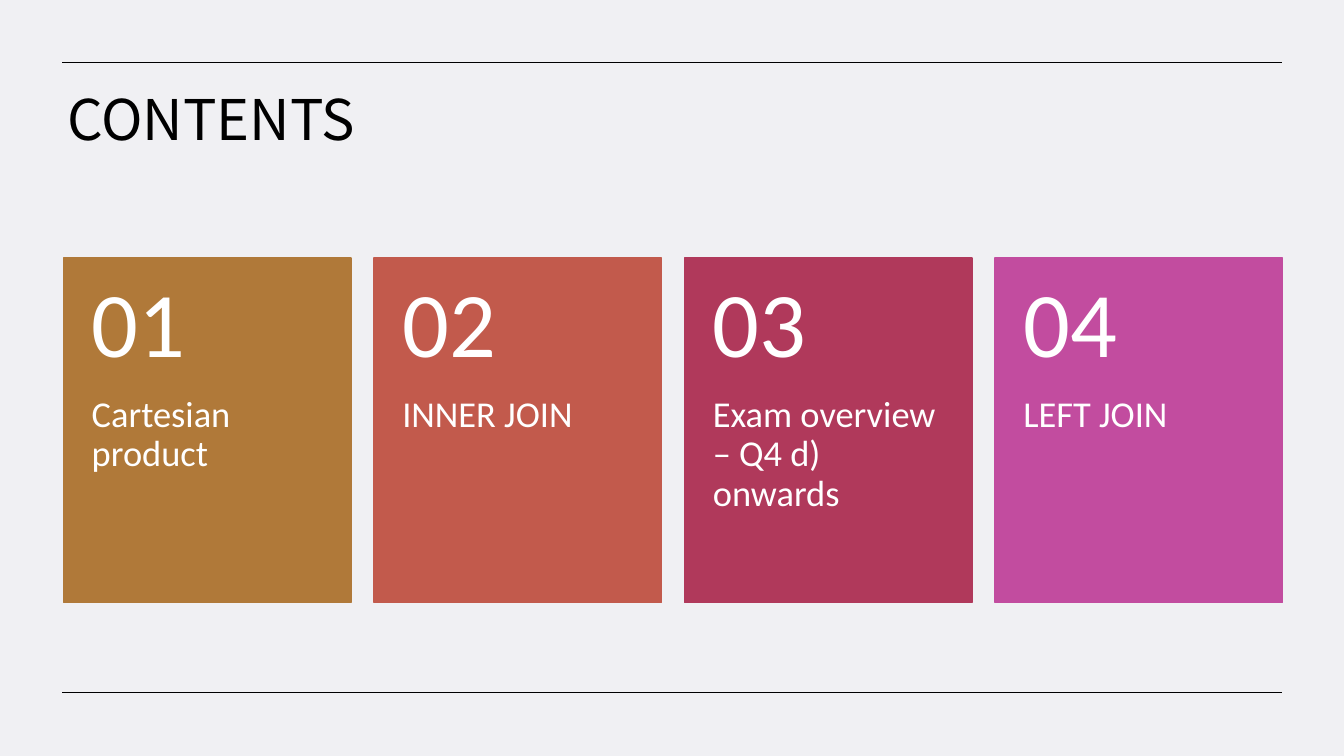
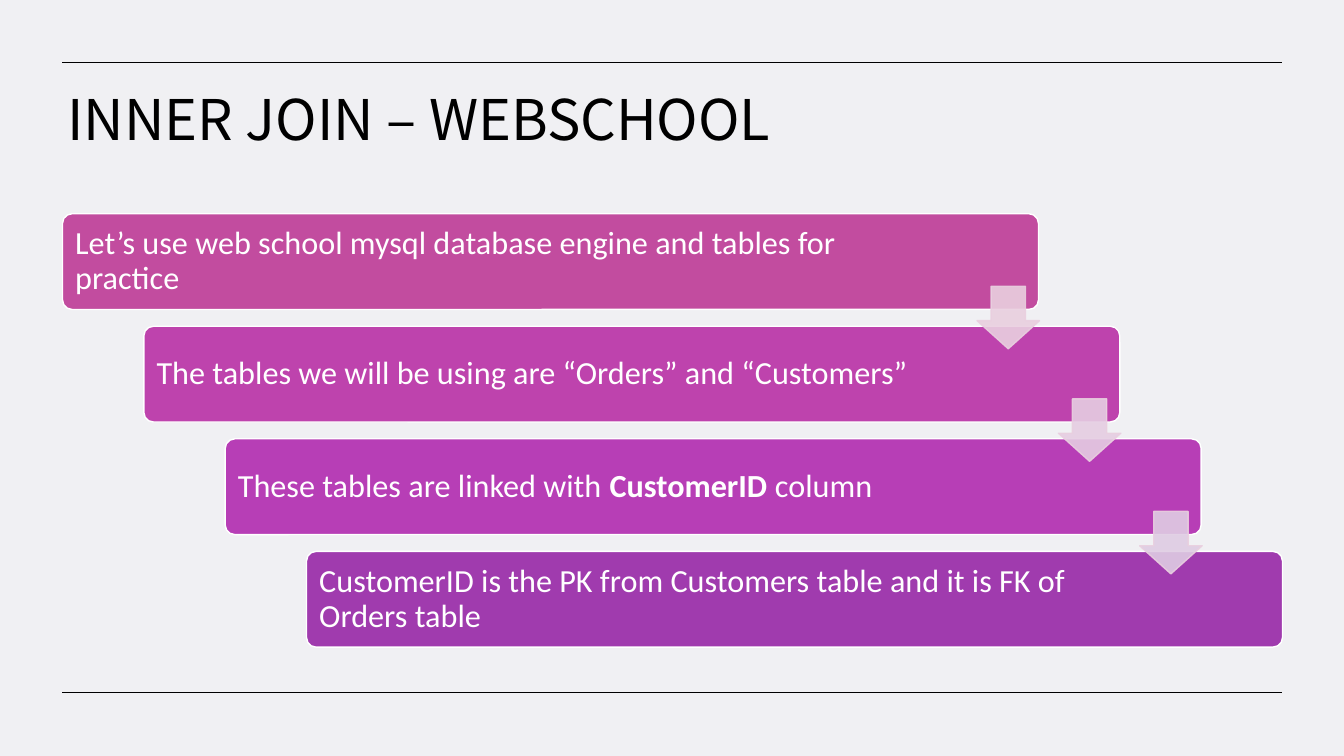
from dataclasses import dataclass

from lxml.etree import SubElement
from pptx import Presentation
from pptx.dml.color import RGBColor
from pptx.enum.shapes import MSO_CONNECTOR, MSO_SHAPE
from pptx.enum.text import MSO_ANCHOR, PP_ALIGN
from pptx.oxml.ns import qn
from pptx.util import Inches, Pt


@dataclass(frozen=True)
class Theme:
    background: str = "F0F0F3"
    ink: str = "000000"
    white: str = "FFFFFF"
    cards: tuple = ("B07939", "C25A4C", "B0395B", "C24C9F")
    steps: tuple = ("C24C9F", "BE43AD", "B73EB6", "A03BAE")
    arrows: tuple = ("E9CFDF", "E5CDE2", "DFCCE3")
    arrow_line: str = "E9CFDF"
    title_font: str = "Noto Sans CJK KR"
    body_font: str = "Calibri"
    title_size: int = 40
    number_size: int = 66
    card_size: int = 26
    step_size: int = 23


THEME = Theme()
LEFT, RIGHT = 0.62, 12.72

CARDS = ("Cartesian product", "INNER JOIN", "Exam overview – Q4 d) onwards", "LEFT JOIN")

# Each step is a list of spans: (text, bold)
STEPS = (
    [("Let’s use web school mysql database engine and tables for practice", False)],
    [("The tables we will be using are “Orders” and “Customers”", False)],
    [("These tables are linked with ", False), ("CustomerID", True), (" column", False)],
    [("CustomerID is the PK from Customers table and it is FK of Orders table", False)],
)


def color(code):
    return RGBColor.from_string(code)


def write(box, spans, size, margins, anchor=MSO_ANCHOR.TOP,
          ink=THEME.white, font=THEME.body_font):
    """Fill a box with one left-aligned paragraph; margins are left, top, right, bottom."""
    frame = box.text_frame
    frame.word_wrap = True
    frame.vertical_anchor = anchor
    (frame.margin_left, frame.margin_top,
     frame.margin_right, frame.margin_bottom) = map(Inches, margins)
    para = frame.paragraphs[0]
    para.alignment = PP_ALIGN.LEFT
    para.line_spacing = 0.9
    para.font.size = Pt(size)
    para.font.name = font
    para.font.color.rgb = color(ink)
    for text, bold in spans:
        span = para.add_run()
        span.text = text
        if bold:
            span.font.bold = True


def add_text_box(page, left, top, width, height):
    return page.shapes.add_textbox(*map(Inches, (left, top, width, height)))


def add_block(page, kind, left, top, width, height, fill, line):
    block = page.shapes.add_shape(kind, *map(Inches, (left, top, width, height)))
    block.shadow.inherit = False
    block.fill.solid()
    block.fill.fore_color.rgb = color(fill)
    block.line.color.rgb = color(line)
    block.line.width = Pt(1)
    return block


def set_opacity(shape, percent):
    for node in shape._element.spPr.iter(qn("a:srgbClr")):
        SubElement(node, qn("a:alpha"), val=str(percent * 1000))


def add_rule(page, top):
    rule = page.shapes.add_connector(
        MSO_CONNECTOR.STRAIGHT, *map(Inches, (LEFT, top, RIGHT, top)))
    rule.line.color.rgb = color(THEME.ink)
    rule.line.width = Pt(0.75)
    SubElement(rule._element.spPr, qn("a:effectLst"))


def add_page(deck, title):
    """Blank page with the shared background, title and two rules."""
    page = deck.slides.add_slide(deck.slide_layouts[6])
    page.background.fill.solid()
    page.background.fill.fore_color.rgb = color(THEME.background)
    write(add_text_box(page, 0.57, 0.86, 12.15, 1.15), [(title, False)],
          THEME.title_size, (0.1, 0.05, 0.1, 0.05),
          ink=THEME.ink, font=THEME.title_font)
    for top in (0.62, 6.87):
        add_rule(page, top)
    return page


def add_cards(page):
    top, width, height, number_height = 2.56, 2.85, 3.42, 1.37
    pitch = 3.08
    for index, (label, fill) in enumerate(zip(CARDS, THEME.cards)):
        left = 0.63 + index * pitch
        card = add_block(page, MSO_SHAPE.RECTANGLE, left, top, width, height, fill, fill)
        write(card, [(label, False)], THEME.card_size, (0.28, number_height, 0.28, 0.36))
        number = add_text_box(page, left, top, width, number_height)
        write(number, [(f"{index + 1:02}", False)], THEME.number_size,
              (0.28, 0.18, 0.28, 0.18), MSO_ANCHOR.MIDDLE)


def add_staircase(page):
    width, height = 9.68, 0.95
    first_top, last_top = 2.12, 5.47
    gaps = len(STEPS) - 1
    shift = (RIGHT - LEFT - width) / gaps
    drop = (last_top - first_top) / gaps
    corners = [(LEFT + i * shift, first_top + i * drop) for i in range(len(STEPS))]

    # Steps
    for (left, top), spans, fill in zip(corners, STEPS, THEME.steps):
        step = add_block(page, MSO_SHAPE.ROUNDED_RECTANGLE, left, top, width, height,
                         fill, THEME.white)
        step.adjustments[0] = 0.1
        write(step, spans, THEME.step_size, (0.1, 0.1, 1.52, 0.1), MSO_ANCHOR.MIDDLE)

    # Arrows bridging each step to the next
    for (left, top), fill in zip(corners, THEME.arrows):
        arrow = add_block(page, MSO_SHAPE.DOWN_ARROW, left + 9.07, top + 0.72, 0.62, 0.62,
                          fill, THEME.arrow_line)
        arrow.adjustments[0] = 0.55
        arrow.adjustments[1] = 0.45
        set_opacity(arrow, 90)


def main():
    deck = Presentation()
    deck.slide_width, deck.slide_height = Inches(13.33), Inches(7.5)
    add_cards(add_page(deck, "CONTENTS"))
    add_staircase(add_page(deck, "INNER JOIN – WEBSCHOOL"))
    deck.save("out.pptx")


if __name__ == "__main__":
    main()
